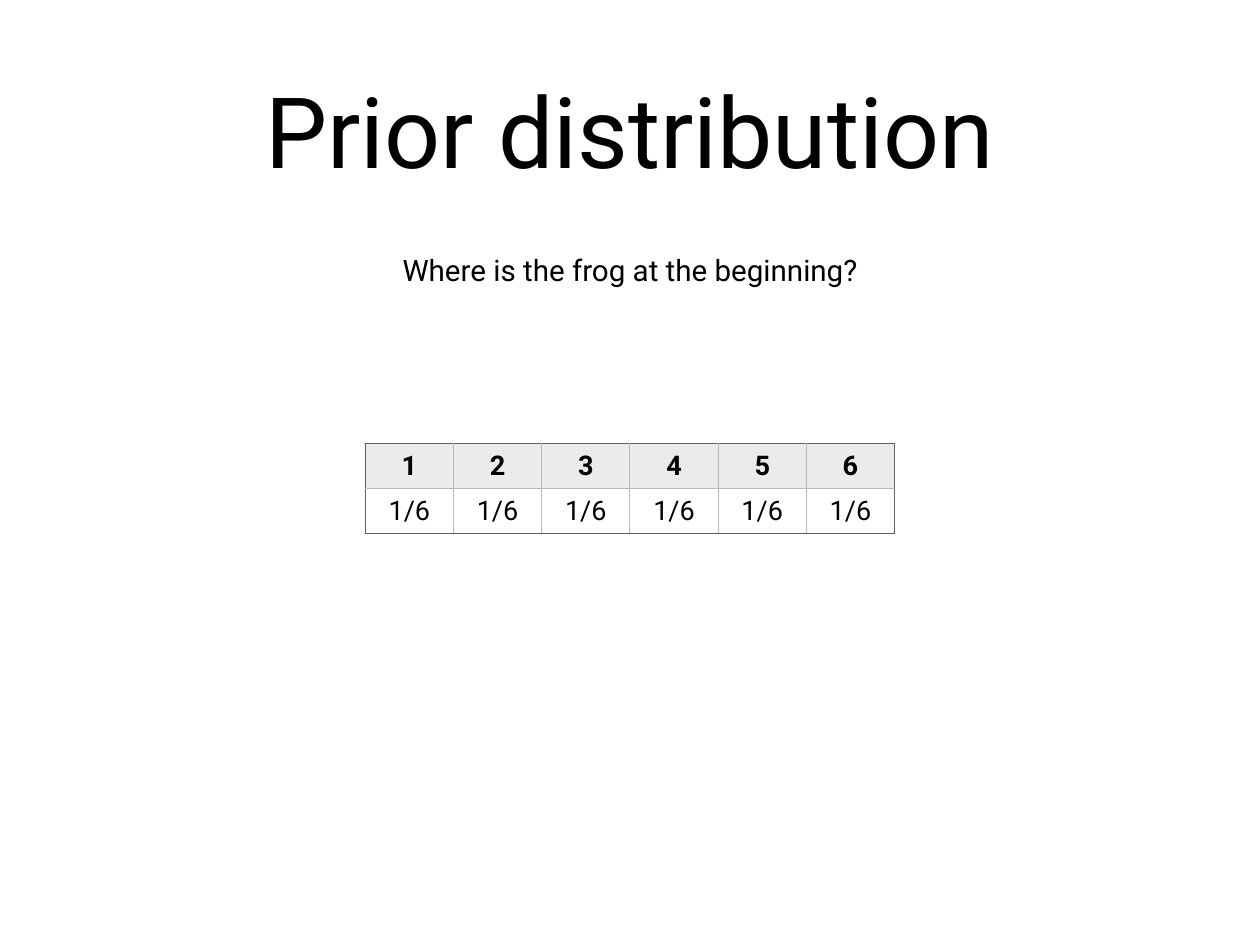
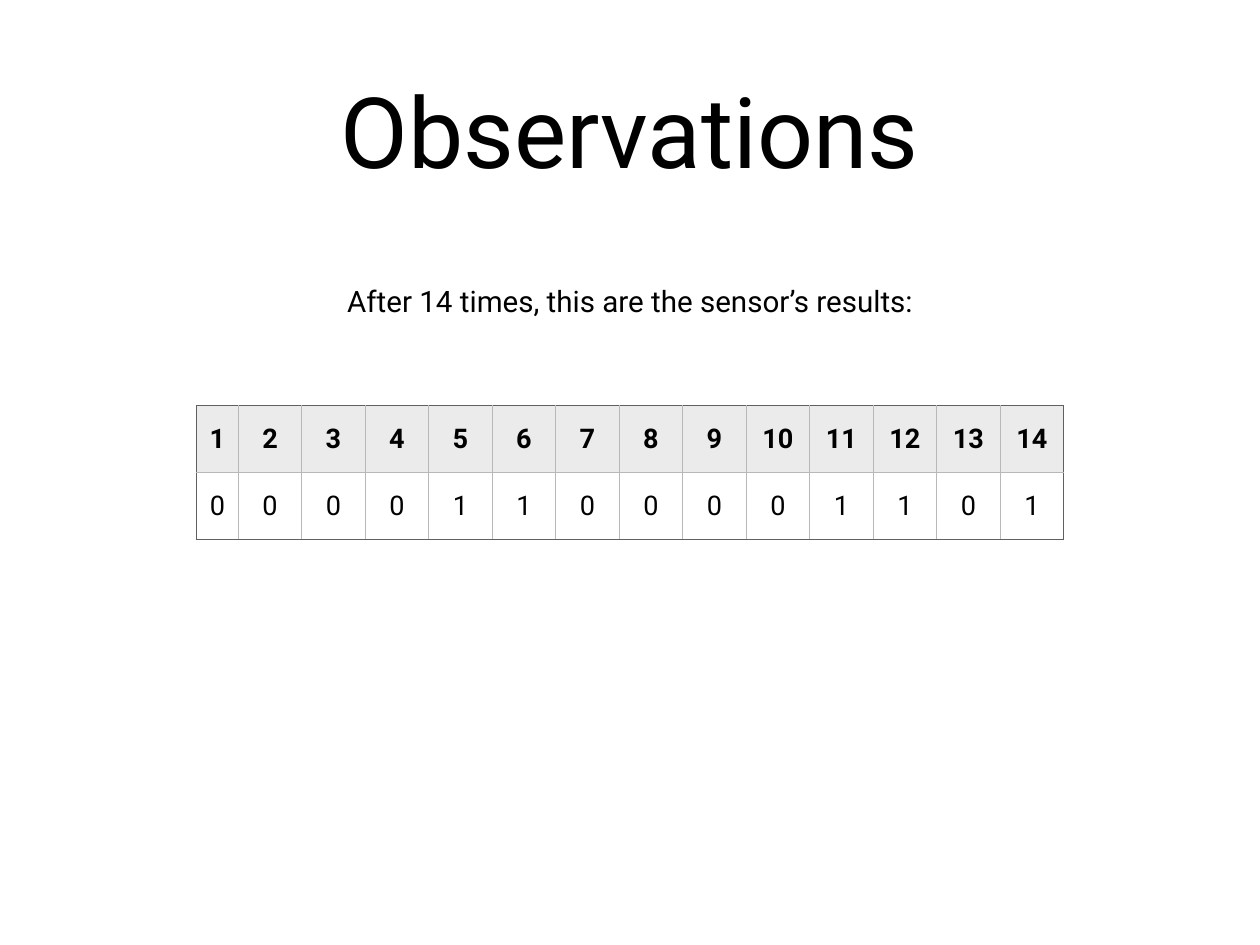
from lxml import etree
from pptx import Presentation
from pptx.dml.color import RGBColor
from pptx.enum.text import MSO_ANCHOR, MSO_AUTO_SIZE, PP_ALIGN
from pptx.oxml.ns import qn
from pptx.util import Cm, Pt

CENTER = PP_ALIGN.CENTER
MIDDLE = MSO_ANCHOR.MIDDLE
FIXED = MSO_AUTO_SIZE.NONE
GROW = MSO_AUTO_SIZE.SHAPE_TO_FIT_TEXT

PAGE_WIDTH, PAGE_HEIGHT = 36.12, 27.1
TITLE_ONLY = 5


def color(hex_code):
    return RGBColor.from_string(hex_code)


class Deck:
    FONT = "Roboto"
    TEXT = "000000"
    HEADER_FILL = "EBEBEB"
    OUTER_LINE = "606060"
    INNER_LINE = "B8B8B8"
    TITLE_SIZE, CAPTION_SIZE, CELL_SIZE = 80, 24, 22
    INSET = Cm(0.14)

    def __init__(self):
        self.presentation = Presentation()
        self.presentation.slide_width = Cm(PAGE_WIDTH)
        self.presentation.slide_height = Cm(PAGE_HEIGHT)
        self.page = None

    def set_insets(self, target):
        """Give a text frame or a table cell the shared inner margins."""
        target.margin_left = target.margin_right = self.INSET
        target.margin_top = target.margin_bottom = self.INSET
        target.vertical_anchor = MIDDLE

    def add_text(self, frame, text, size, bold=False):
        para = frame.paragraphs[0]
        para.alignment = CENTER
        span = para.add_run()
        span.text = text
        span.font.name = self.FONT
        span.font.size = Pt(size)
        span.font.bold = bold
        span.font.color.rgb = color(self.TEXT)

    def add_page(self, title):
        layout = self.presentation.slide_layouts[TITLE_ONLY]
        self.page = self.presentation.slides.add_slide(layout)
        box = self.page.shapes.title
        box.left, box.top = Cm(2.64), Cm(0.71)
        box.width, box.height = Cm(30.84), Cm(6)
        frame = box.text_frame
        frame.auto_size = FIXED
        self.set_insets(frame)
        self.add_text(frame, title, self.TITLE_SIZE)

    def add_caption(self, text, top, width):
        left = (PAGE_WIDTH - width) / 2
        box = self.page.shapes.add_textbox(Cm(left), Cm(top), Cm(width), Cm(1.27))
        frame = box.text_frame
        frame.word_wrap = False
        frame.auto_size = GROW
        self.set_insets(frame)
        self.add_text(frame, text, self.CAPTION_SIZE)

    def add_border(self, cell, side, is_outer):
        """Draw one side (L, R, T or B); call before the cell gets its fill."""
        line = etree.SubElement(cell._tc.get_or_add_tcPr(), qn(f"a:ln{side}"), w=str(Pt(1)))
        fill = etree.SubElement(line, qn("a:solidFill"))
        shade = self.OUTER_LINE if is_outer else self.INNER_LINE
        etree.SubElement(fill, qn("a:srgbClr"), val=shade)

    def add_numbered_table(self, values, top, widths, row_height):
        """Add a centred table: column numbers above, values below."""
        rows = [[str(number + 1) for number in range(len(values))], values]
        total = sum(widths)
        table = self.page.shapes.add_table(
            len(rows), len(values), Cm((PAGE_WIDTH - total) / 2), Cm(top),
            Cm(total), Cm(row_height * len(rows))).table
        table.horz_banding = False
        for column, width in zip(table.columns, widths):
            column.width = Cm(width)
        last_row, last_column = len(rows) - 1, len(values) - 1
        for r, row in enumerate(rows):
            table.rows[r].height = Cm(row_height)
            for c, text in enumerate(row):
                cell = table.cell(r, c)
                self.set_insets(cell)
                self.add_text(cell.text_frame, text, self.CELL_SIZE, bold=r == 0)
                self.add_border(cell, "L", c == 0)
                self.add_border(cell, "R", c == last_column)
                self.add_border(cell, "T", r == 0)
                self.add_border(cell, "B", r == last_row)
                if r == 0:
                    cell.fill.solid()
                    cell.fill.fore_color.rgb = color(self.HEADER_FILL)
                else:
                    cell.fill.background()


def main():
    deck = Deck()

    deck.add_page("Prior distribution")
    deck.add_numbered_table(["1/6"] * 6, top=12.73, widths=[2.53] * 6, row_height=1.28)
    deck.add_caption("Where is the frog at the beginning?", top=7.11, width=13.56)

    deck.add_page("Observations")
    deck.add_numbered_table(list("00001100001101"), top=11.63,
                            widths=[1.2] + [1.82] * 13, row_height=1.92)
    deck.add_caption("After 14 times, this are the sensor’s results:", top=8, width=16.59)

    deck.presentation.save("out.pptx")


if __name__ == "__main__":
    main()
